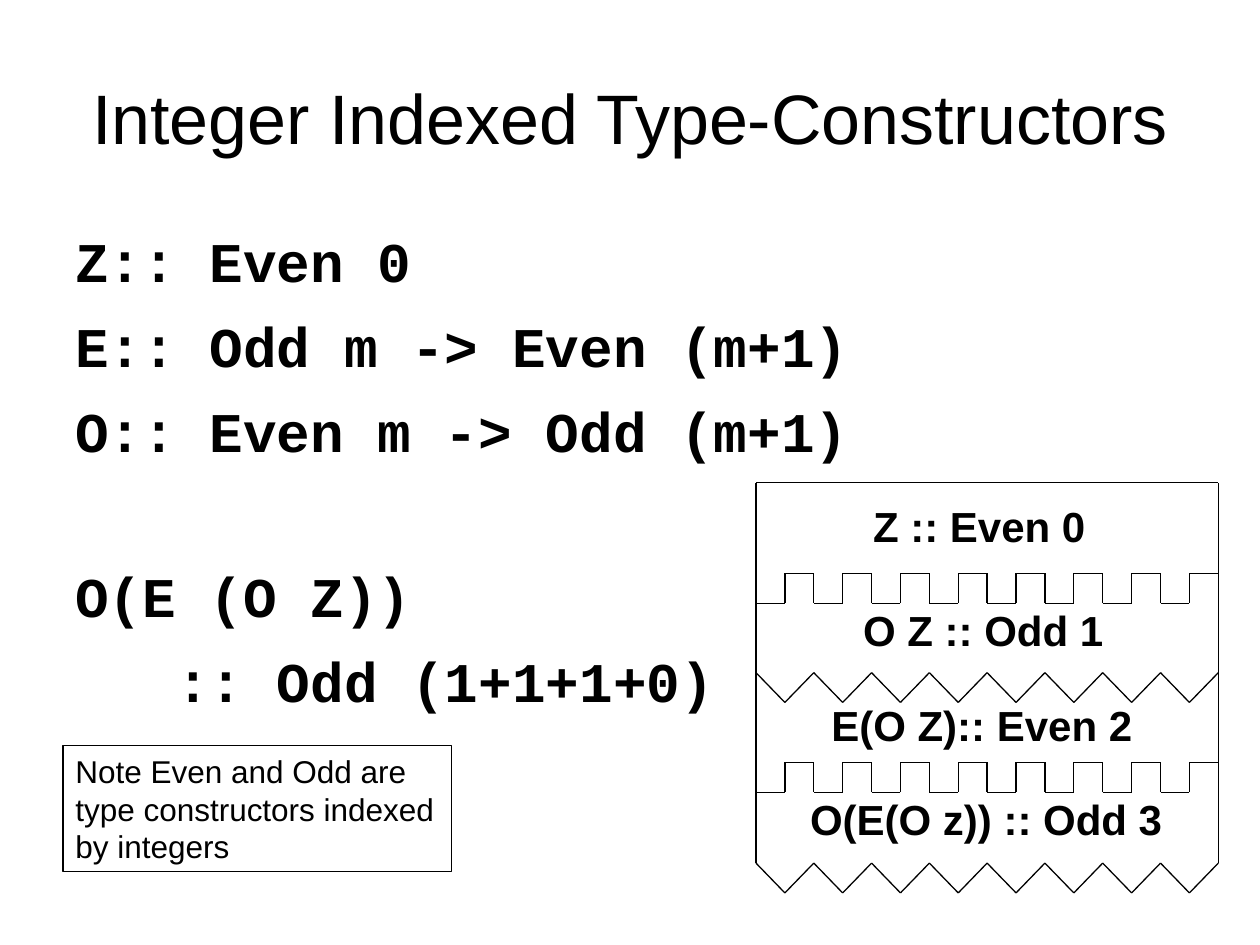
"""Build the slide on integer indexed type constructors with its interlocking tiles."""
from dataclasses import dataclass
from itertools import pairwise

from lxml.etree import SubElement
from pptx import Presentation
from pptx.dml.color import RGBColor
from pptx.enum.shapes import MSO_CONNECTOR, MSO_SHAPE
from pptx.enum.text import MSO_ANCHOR, PP_ALIGN
from pptx.oxml.ns import qn
from pptx.shapes.base import BaseShape
from pptx.shapes.group import GroupShape
from pptx.slide import Slide
from pptx.util import Cm, Pt


@dataclass(frozen=True)
class Theme:
    ink: RGBColor = RGBColor(0, 0, 0)
    sans: str = "Arial"
    mono: str = "Courier New"
    title: int = 40
    code: int = 32
    label: int = 24
    note: int = 18
    stroke: float = 0.75


@dataclass(frozen=True)
class Frame:
    left: float
    top: float
    width: float
    height: float

    def lengths(self) -> tuple[Cm, Cm, Cm, Cm]:
        return Cm(self.left), Cm(self.top), Cm(self.width), Cm(self.height)


@dataclass(frozen=True)
class Tile:
    text: str
    label: Frame
    top: float
    edge: float
    square: bool


THEME = Theme()
TILE_LEFT, TILE_RIGHT = 15.24, 24.56
TOOTH_COUNT, TOOTH_DEPTH = 16, 0.6
TOOTH_WIDTH = (TILE_RIGHT - TILE_LEFT) / TOOTH_COUNT

TILES = [
    Tile("O(E(O z)) :: Odd 3", Frame(16.08, 15.88, 7.82, 1.27), 15.97, 17.4, False),
    Tile("E(O Z):: Even 2", Frame(16.51, 13.97, 7.19, 1.27), 13.56, 15.37, True),
    Tile("O Z :: Odd 1", Frame(17.15, 12.07, 5.89, 1.27), 12.16, 13.56, False),
    Tile("Z :: Even 0", Frame(17.35, 9.96, 5.05, 1.27), 9.73, 11.56, True),
]
CODE = [
    ("Z:: Even 0", 0),
    ("E:: Odd m -> Even (m+1)", 10),
    ("O:: Even m -> Odd (m+1)", 10),
    ("O(E (O Z))", 56),
    ("   :: Odd (1+1+1+0)", 10),
]


def write(box: BaseShape, lines: list[str], size: int, font: str, bold: bool = False) -> None:
    frame = box.text_frame
    frame.word_wrap = True
    frame.text = "\n".join(lines)
    for paragraph in frame.paragraphs:
        paragraph.alignment = PP_ALIGN.LEFT
        for span in paragraph.runs:
            span.font.size = Pt(size)
            span.font.name = font
            span.font.bold = bold
            span.font.color.rgb = THEME.ink


def draw_line(group: GroupShape, start: tuple[float, float], end: tuple[float, float]) -> None:
    line = group.shapes.add_connector(MSO_CONNECTOR.STRAIGHT, *map(Cm, start + end))
    line.line.color.rgb = THEME.ink
    line.line.width = Pt(THEME.stroke)
    SubElement(line._element.spPr, qn("a:effectLst"))


def toothed_edge(tile: Tile) -> list[tuple[float, float]]:
    low = tile.edge + TOOTH_DEPTH
    points = []
    for index in range(TOOTH_COUNT + 1):
        x = TILE_LEFT + index * TOOTH_WIDTH
        levels = (tile.edge, low) if index % 2 == 0 else (low, tile.edge)
        points += [(x, level) for level in (levels if tile.square else levels[:1])]
    return points[1:] if tile.square else points


def draw_tile(page: Slide, tile: Tile) -> None:
    group = page.shapes.add_group_shape()
    edge = toothed_edge(tile)
    draw_line(group, edge[0], (TILE_LEFT, tile.top))
    draw_line(group, (TILE_RIGHT, tile.edge), (TILE_RIGHT, tile.top))
    if tile is TILES[-1]:
        draw_line(group, (TILE_LEFT, tile.top), (TILE_RIGHT, tile.top))
    for start, end in pairwise(edge):
        draw_line(group, start, end)
    box = group.shapes.add_textbox(*tile.label.lengths())
    write(box, [tile.text], THEME.label, THEME.sans, bold=True)


def draw_title(page: Slide) -> None:
    box = page.shapes.add_textbox(*Frame(1.27, 0.76, 22.86, 3.18).lengths())
    write(box, ["Integer Indexed Type-Constructors"], THEME.title, THEME.sans)
    box.text_frame.vertical_anchor = MSO_ANCHOR.MIDDLE
    box.text_frame.paragraphs[0].alignment = PP_ALIGN.CENTER


def draw_code(page: Slide) -> None:
    box = page.shapes.add_textbox(*Frame(1.27, 4.45, 22.86, 12.57).lengths())
    write(box, [text for text, _ in CODE], THEME.code, THEME.mono, bold=True)
    for paragraph, (_, gap) in zip(box.text_frame.paragraphs, CODE):
        paragraph.space_before = Pt(gap)


def draw_note(page: Slide) -> None:
    box = page.shapes.add_shape(MSO_SHAPE.RECTANGLE, *Frame(1.27, 15.03, 7.83, 2.54).lengths())
    box.shadow.inherit = False
    box.fill.background()
    box.line.color.rgb = THEME.ink
    box.line.width = Pt(THEME.stroke)
    write(box, ["Note Even and Odd are type constructors indexed by integers"], THEME.note, THEME.sans)
    box.text_frame.vertical_anchor = MSO_ANCHOR.TOP


def main() -> None:
    deck = Presentation()
    deck.slide_width, deck.slide_height = Cm(25.4), Cm(19.05)
    page = deck.slides.add_slide(deck.slide_layouts[6])
    draw_title(page)
    draw_code(page)
    for tile in TILES:
        draw_tile(page, tile)
    draw_note(page)
    deck.save("out.pptx")


if __name__ == "__main__":
    main()
